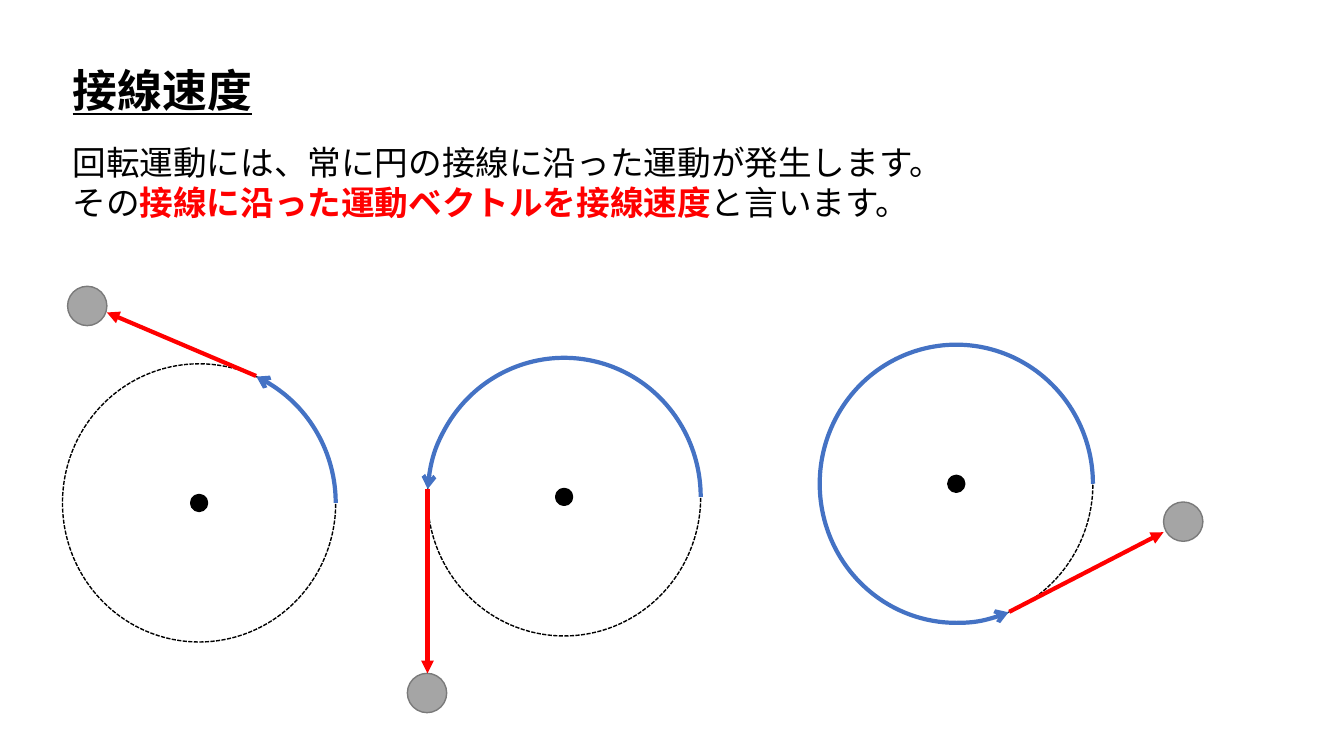
import pptx
import pptx.util
import pptx.dml.color
import pptx.enum.dml
import pptx.enum.shapes
import pptx.enum.text
import pptx.oxml.ns
import lxml.etree

Inches = pptx.util.Inches
Pt = pptx.util.Pt
SHAPE = pptx.enum.shapes.MSO_SHAPE
FONT = "Noto Sans CJK JP"
BLACK, RED, BLUE, GRAY, EDGE = "000000", "FF0000", "4472C4", "A5A5A5", "7A7A7A"
WIDE, HIGH = 2.71, 2.76  # circle
DOT, BALL = 0.14, 0.39


def paint(fill, color):
    fill.solid()
    fill.fore_color.rgb = pptx.dml.color.RGBColor.from_string(color)


def draw(group, kind, box, fill, line, width):
    """Add a shape without shadow; fill None leaves it open."""
    shape = group.shapes.add_shape(kind, *[Inches(n) for n in box])
    shape.shadow.inherit = False
    if fill:
        paint(shape.fill, fill)
    else:
        shape.fill.background()
    paint(shape.line.fill, line)
    shape.line.width = Pt(width)
    return shape


deck = pptx.Presentation()
deck.slide_width, deck.slide_height = Inches(13.33), Inches(7.5)
slide = deck.slides.add_slide(deck.slide_layouts[5])

# Title and text
title = slide.shapes.title
title.left, title.top = Inches(0.62), Inches(0.57)
title.width, title.height = Inches(2), Inches(0.64)
body = slide.shapes.add_textbox(Inches(0.62), Inches(1.36), Inches(8.95), Inches(0.91))

texts = [
    (title, 32, True, [[("接線速度", BLACK, True)]]),
    (body, 24, False, [
        [("回転運動には、常に円の接線に沿った運動が発生します。", BLACK, False)],
        [("その", BLACK, False),
         ("接線に沿った運動ベクトルを接線速度", RED, True),
         ("と言います。", BLACK, False)],
    ]),
]
for box, size, under, lines in texts:
    frame = box.text_frame
    frame.word_wrap = False
    frame.auto_size = pptx.enum.text.MSO_AUTO_SIZE.NONE
    frame.vertical_anchor = pptx.enum.text.MSO_ANCHOR.TOP
    for i, line in enumerate(lines):
        para = frame.add_paragraph() if i else frame.paragraphs[0]
        para.alignment = pptx.enum.text.PP_ALIGN.LEFT
        para.line_spacing = Pt(size * 1.2)
        for text, color, bold in line:
            run = para.add_run()
            run.text = text
            font = run.font
            font.name, font.size = FONT, Pt(size)
            font.bold, font.underline = bold, under
            paint(font.fill, color)
            east = lxml.etree.SubElement(font._element, pptx.oxml.ns.qn("a:ea"))
            east.set("typeface", FONT)

# Circle corner, angle of release, ball corner, start and end of the velocity
orbits = [
    ((0.62, 3.61), 294.38, (0.67, 2.84), (2.54, 3.73), (1.06, 3.1)),
    ((4.24, 3.55), 183.31, (4.04, 6.68), (4.24, 4.85), (4.24, 6.68)),
    ((8.13, 3.42), 67.89, (11.54, 4.98), (10.01, 6.07), (11.54, 5.28)),
]
for (left, top), angle, ball, start, end in orbits:
    group = slide.shapes.add_group_shape()
    ring = (left, top, WIDE, HIGH)

    track = draw(group, SHAPE.ARC, ring, None, BLACK, 1)
    track.line.dash_style = pptx.enum.dml.MSO_LINE.SQUARE_DOT
    path = draw(group, SHAPE.ARC, ring, None, BLUE, 3)
    for arc, degree in ((track, 0.41), (path, angle)):
        arc.adjustments[0] = degree * 0.6  # 60000ths of a degree over 100000
        arc.adjustments[1] = 0

    hub = (left + (WIDE - DOT) / 2, top + (HIGH - DOT) / 2, DOT, DOT)
    draw(group, SHAPE.OVAL, hub, BLACK, BLACK, 3)
    draw(group, SHAPE.OVAL, (*ball, BALL, BALL), GRAY, EDGE, 1)

    speed = group.shapes.add_connector(
        pptx.enum.shapes.MSO_CONNECTOR.STRAIGHT, *[Inches(n) for n in start + end])
    paint(speed.line.fill, RED)
    speed.line.width = Pt(3)
    lxml.etree.SubElement(speed._element.spPr, pptx.oxml.ns.qn("a:effectLst"))

    for item, tag, kind in ((path, "a:headEnd", "arrow"), (speed, "a:tailEnd", "triangle")):
        tip = lxml.etree.SubElement(item.line._get_or_add_ln(), pptx.oxml.ns.qn(tag))
        tip.set("type", kind)

deck.save("out.pptx")
